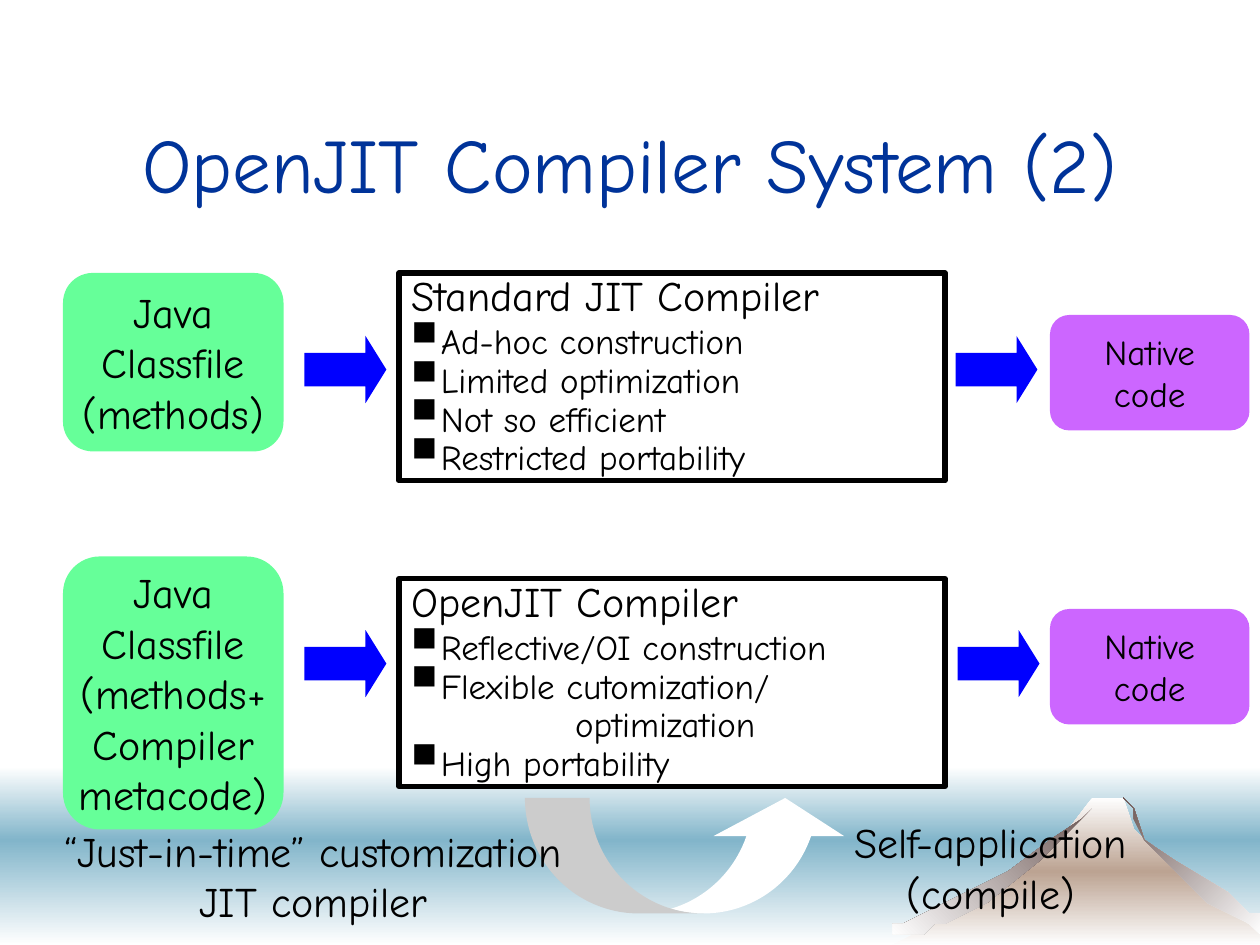
from dataclasses import dataclass

from pptx import Presentation
from pptx.dml.color import RGBColor
from pptx.enum.shapes import MSO_SHAPE as Kind
from pptx.enum.text import MSO_ANCHOR as Anchor, PP_ALIGN as Align
from pptx.oxml import parse_xml
from pptx.oxml.ns import nsdecls
from pptx.util import Inches, Pt


@dataclass(frozen=True)
class Theme:
    font: str = "Comic Neue"
    title_size: int = 44
    body_size: int = 24
    small_size: int = 20
    white: str = "FFFFFF"
    black: str = "000000"
    title: str = "003399"
    source: str = "66FF99"
    result: str = "CC66FF"
    arrow: str = "0000FF"
    water: str = "82B5CA"
    snow: str = "FEFEFE"
    slope: str = "BCA392"
    rock: str = "6B5653"


theme = Theme()
deck = Presentation()
deck.slide_width, deck.slide_height = Inches(10), Inches(7.5)
slide = deck.slides.add_slide(deck.slide_layouts[6])
shapes = slide.shapes
COLUMNS = 120
CELL = deck.slide_width // COLUMNS


def draw(outline, colors, box=None, angle=0, adjust=(), border=0):
    if box:
        shape = shapes.add_shape(outline, *(round(CELL * cells) for cells in box))
    else:
        builder = shapes.build_freeform(*outline[0], scale=CELL)
        builder.add_line_segments(outline[1:], close=True)
        shape = builder.convert_to_shape()
    for index, value in enumerate(adjust):
        shape.adjustments[index] = value
    if len(colors) == 1:
        shape.fill.solid()
        shape.fill.fore_color.rgb = RGBColor.from_string(colors[0])
    else:
        stops = "".join(
            f'<a:gs pos="{100000 * index // (len(colors) - 1)}"><a:srgbClr val="{color}"/></a:gs>'
            for index, color in enumerate(colors)
        )
        shape._element.spPr.insert(2, parse_xml(
            f'<a:gradFill {nsdecls("a")} rotWithShape="1"><a:gsLst>{stops}</a:gsLst>'
            f'<a:lin ang="{angle * 60000}" scaled="0"/></a:gradFill>'
        ))
    if border:
        shape.line.color.rgb = RGBColor.from_string(theme.black)
        shape.line.width = Pt(border)
    else:
        shape.line.fill.background()
    shape.shadow.inherit = False
    return shape


def write(frame, text, size=theme.body_size, color=theme.black, align=Align.CENTER,
          anchor=Anchor.MIDDLE, wrap=False, spacing=None, before=0, bullet=False,
          indent=0, more=False):
    frame.word_wrap = wrap
    frame.vertical_anchor = anchor
    for index, line in enumerate(text.split("\n")):
        paragraph = frame.add_paragraph() if more or index else frame.paragraphs[0]
        paragraph.alignment = align
        paragraph.line_spacing = spacing
        if before:
            paragraph.space_before = Pt(before)
        properties = paragraph._p.get_or_add_pPr()
        if indent:
            properties.set("marL", str(round(CELL * indent)))
        if bullet:
            properties.set("indent", str(-round(CELL * indent)))
            for mark in (f'buClr {nsdecls("a")}><a:srgbClr val="{theme.black}"/></a:buClr',
                         f'buChar {nsdecls("a")} char="■"/'):
                properties.append(parse_xml(f"<a:{mark}>"))
        paragraph.text = line
        for run in paragraph.runs:
            run.font.name = theme.font
            run.font.size = Pt(size)
            run.font.color.rgb = RGBColor.from_string(color)


draw(Kind.RECTANGLE, (theme.white, theme.water), (0, 73, COLUMNS, 7), 90)
draw(Kind.RECTANGLE, (theme.water, theme.white), (0, 80, COLUMNS, 10), 90)

mountain = [
    (85.3, 90), (94.8, 84.6), (100.8, 79.9), (104.3, 76.4), (105, 75.7), (105.6, 75.5),
    (106.3, 75.5), (106.9, 75.7), (108.4, 78.8), (110.6, 81.6), (116.2, 85.4), (120, 88),
    (120, 90),
]
right_ridge = [
    (109.8, 81.2), (111.7, 83), (113.8, 84.6), (115.3, 85.8), (118.8, 88), (120, 88.7),
    (120, 87.2), (119.3, 87), (117, 85.3), (111.5, 81.6), (109.4, 79.7), (108.5, 78.5),
    (107.6, 77.3), (107, 75.8), (107.5, 77.3), (108.8, 79.8),
]
left_ridge = [
    (99.8, 80.2), (95.9, 83), (93.8, 84.2), (90.1, 86.3), (88.2, 86.8), (86.4, 87.5),
    (85.3, 88), (85, 88.4), (85.3, 88.7), (86.4, 88.9), (87.6, 88.7), (88.7, 88.4),
    (90, 88), (92.3, 86.9), (94, 85.8), (99.2, 81.7), (102.1, 79.1), (103.7, 77.2),
    (104.1, 76.6), (102.7, 77.9),
]
draw(mountain, (theme.snow, theme.slope, theme.snow), angle=90)
draw(right_ridge, (theme.snow, theme.rock), angle=225)
draw(left_ridge, (theme.rock, theme.snow), angle=135)

captions = [
    ("OpenJIT Compiler System (2)", (9, 8, 102, 15), theme.title_size, theme.title, Anchor.MIDDLE),
    ("Self-application\n(compile)", (80, 77.2, 28.7, 10.8), theme.body_size, theme.black, Anchor.TOP),
    ("“Just-in-time” customization\vJIT compiler", (4.9, 78, 49.9, 10.8), theme.body_size,
     theme.black, Anchor.TOP),
]

pipelines = [
    dict(compiler="Standard JIT Compiler", compiler_top=26, arrow_top=32, out_arrow=91,
         result_top=30, source="Java\nClassfile\n(methods)", source_box=(6, 26, 21, 17),
         traits=[("Ad-hoc construction\nLimited optimization\nNot so efficient\n"
                  "Restricted portability", True)]),
    dict(compiler="OpenJIT Compiler", compiler_top=55.1, arrow_top=60, out_arrow=91.2,
         result_top=58, source="Java\nClassfile\n(methods+\nCompiler\nmetacode)",
         source_box=(6, 53, 21, 26),
         traits=[("Reflective/OI construction\nFlexible cutomization/", True),
                 ("optimization", False), ("High portability", True)]),
]
for stage in pipelines:
    compiler = draw(Kind.RECTANGLE, (theme.white,), (38, stage["compiler_top"], 52, 19.8), border=3)
    block = dict(align=Align.LEFT, anchor=Anchor.TOP, wrap=True)
    write(compiler.text_frame, stage["compiler"], spacing=0.8, **block)
    for trait, bullet in stage["traits"]:
        write(compiler.text_frame, trait, size=theme.small_size, spacing=0.4, before=12.5,
              bullet=bullet, indent=2.8 if bullet else 15.6, more=True, **block)
    for left in (29, stage["out_arrow"]):
        draw(Kind.RIGHT_ARROW, (theme.arrow,), (left, stage["arrow_top"], 7.8, 6.4),
             adjust=(0.5, 0.31))
    result = draw(Kind.ROUNDED_RECTANGLE, (theme.result,), (100, stage["result_top"], 19, 11))
    write(result.text_frame, "Native\ncode", size=theme.small_size)
    source = draw(Kind.ROUNDED_RECTANGLE, (theme.source,), stage["source_box"])
    write(source.text_frame, stage["source"])

draw(Kind.CURVED_UP_ARROW, (theme.white,), (50, 76, 31, 11), adjust=(0.56, 1.13, 0.33))

for text, box, size, color, anchor in captions:
    caption = shapes.add_textbox(*(round(CELL * cells) for cells in box))
    write(caption.text_frame, text, size=size, color=color, anchor=anchor)

deck.save("out.pptx")
